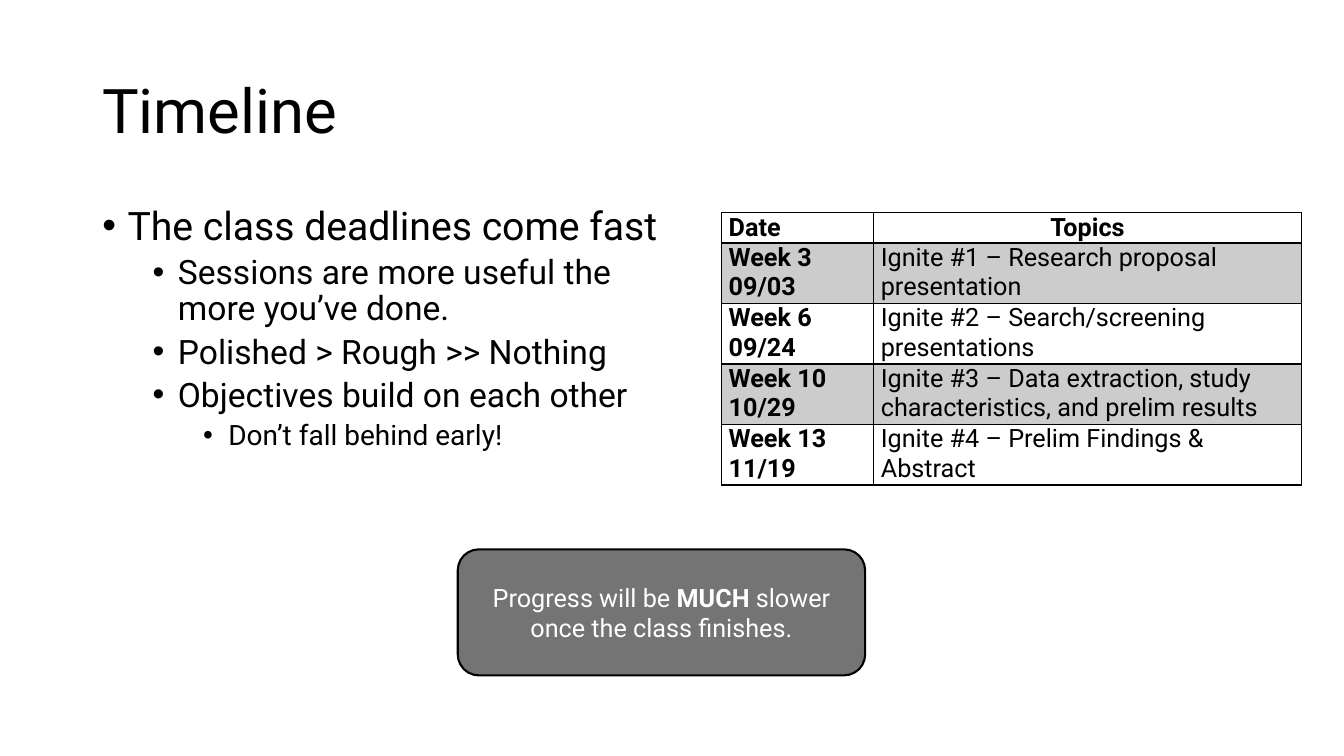
import pptx
import pptx.dml.color
import pptx.enum.shapes
import pptx.enum.text
import pptx.oxml
import pptx.oxml.ns
import pptx.util

Pt = pptx.util.Pt
ANCHOR = pptx.enum.text.MSO_ANCHOR
ALIGN = pptx.enum.text.PP_ALIGN

BLACK = pptx.dml.color.RGBColor(0x00, 0x00, 0x00)
WHITE = pptx.dml.color.RGBColor(0xFF, 0xFF, 0xFF)
BAND = pptx.dml.color.RGBColor(0xCC, 0xCC, 0xCC)
CALLOUT = pptx.dml.color.RGBColor(0x74, 0x74, 0x74)

BULLETS = [
    (0, "The class deadlines come fast"),
    (1, "Sessions are more useful the more you’ve done."),
    (1, "Polished > Rough >> Nothing"),
    (1, "Objectives build on each other"),
    (2, "Don’t fall behind early!"),
]
BULLET_SIZES = [28, 24, 20]

SCHEDULE = [
    (["Date"], "Topics"),
    (["Week 3", "09/03"], "Ignite #1 – Research proposal presentation"),
    (["Week 6", "09/24"], "Ignite #2 – Search/screening presentations"),
    (["Week 10", "10/29"], "Ignite #3 – Data extraction, study characteristics, and prelim results"),
    (["Week 13", "11/19"], "Ignite #4 – Prelim Findings & Abstract"),
]


class SlideBuilder:
    font = "Roboto"

    def __init__(self, slide):
        self.slide = slide

    def add_span(self, para, text, size, color=BLACK, bold=False):
        span = para.add_run()
        span.text = text
        span.font.name = self.font
        span.font.size = Pt(size)
        span.font.bold = bold
        span.font.color.rgb = color

    def add_box(self, left, top, width, height, anchor=ANCHOR.TOP):
        box = self.slide.shapes.add_textbox(Pt(left), Pt(top), Pt(width), Pt(height))
        box.text_frame.word_wrap = True
        box.text_frame.vertical_anchor = anchor
        return box.text_frame

    def add_title(self, text, *place):
        para = self.add_box(*place, anchor=ANCHOR.MIDDLE).paragraphs[0]
        para.line_spacing = 0.9
        self.add_span(para, text, 44)

    def add_bullets(self, items, *place):
        frame = self.add_box(*place)
        for index, (level, text) in enumerate(items):
            para = frame.add_paragraph() if index else frame.paragraphs[0]
            para.level = level
            para.line_spacing = 0.9
            para.space_before = Pt(5 if index else 0)
            properties = para._p.get_or_add_pPr()
            properties.set("marL", str(Pt(18 + 36 * level)))
            properties.set("indent", str(Pt(-18)))
            namespace = pptx.oxml.ns.nsdecls("a")
            properties.append(pptx.oxml.parse_xml(f'<a:buFont {namespace} typeface="Arial"/>'))
            properties.append(pptx.oxml.parse_xml(f'<a:buChar {namespace} char="•"/>'))
            self.add_span(para, text, BULLET_SIZES[level])

    def add_borders(self, cell, bottom, top):
        properties = cell._tc.get_or_add_tcPr()
        for side, width in (("L", 1), ("R", 1), ("T", top), ("B", bottom)):
            properties.append(pptx.oxml.parse_xml(
                f'<a:ln{side} {pptx.oxml.ns.nsdecls("a")} w="{Pt(width)}">'
                f'<a:solidFill><a:srgbClr val="{BLACK}"/></a:solidFill></a:ln{side}>'))

    def fill_cell(self, cell, lines, row, bold, align):
        cell.margin_left = cell.margin_right = Pt(5)
        cell.margin_top = cell.margin_bottom = 0
        self.add_borders(cell, bottom=1 if row else 2, top=2 if row == 1 else 1)
        if row % 2:
            cell.fill.solid()
            cell.fill.fore_color.rgb = BAND
        else:
            cell.fill.background()
        for index, line in enumerate(lines):
            para = cell.text_frame.add_paragraph() if index else cell.text_frame.paragraphs[0]
            para.alignment = align
            self.add_span(para, line, 18, bold=bold)

    def add_schedule(self, rows, left, top, widths, header_height, row_height):
        height = header_height + row_height * (len(rows) - 1)
        table = self.slide.shapes.add_table(
            len(rows), len(widths), Pt(left), Pt(top), Pt(sum(widths)), Pt(height)).table
        table.first_row = table.horz_banding = False
        for column, width in zip(table.columns, widths):
            column.width = Pt(width)
        for row, (dates, topic) in enumerate(rows):
            header = row == 0
            table.rows[row].height = Pt(header_height if header else row_height)
            self.fill_cell(table.cell(row, 0), dates, row, True, ALIGN.LEFT)
            self.fill_cell(table.cell(row, 1), [topic], row, header,
                           ALIGN.CENTER if header else ALIGN.LEFT)

    def add_callout(self, spans, left, top, width, height):
        box = self.slide.shapes.add_shape(
            pptx.enum.shapes.MSO_SHAPE.ROUNDED_RECTANGLE,
            Pt(left), Pt(top), Pt(width), Pt(height))
        box.shadow.inherit = False
        box.fill.solid()
        box.fill.fore_color.rgb = CALLOUT
        box.line.color.rgb = BLACK
        box.line.width = Pt(1.5)
        box.text_frame.word_wrap = True
        box.text_frame.vertical_anchor = ANCHOR.MIDDLE
        para = box.text_frame.paragraphs[0]
        para.alignment = ALIGN.CENTER
        for text, bold in spans:
            self.add_span(para, text, 18, WHITE, bold)


def main():
    deck = pptx.Presentation()
    deck.slide_width, deck.slide_height = Pt(960), Pt(540)
    page = SlideBuilder(deck.slides.add_slide(deck.slide_layouts[6]))
    page.add_title("Timeline", 66, 28.75, 828, 104.4)
    page.add_bullets(BULLETS, 66, 143.75, 414, 342.6)
    page.add_schedule(SCHEDULE, 515.5, 151.9, [108.7, 305.3], 21.2, 42.2)
    page.add_callout(
        [("Progress will be ", False), ("MUCH", True), (" slower once the class finishes.", False)],
        327, 392.4, 291, 90)
    deck.save("out.pptx")


if __name__ == "__main__":
    main()
